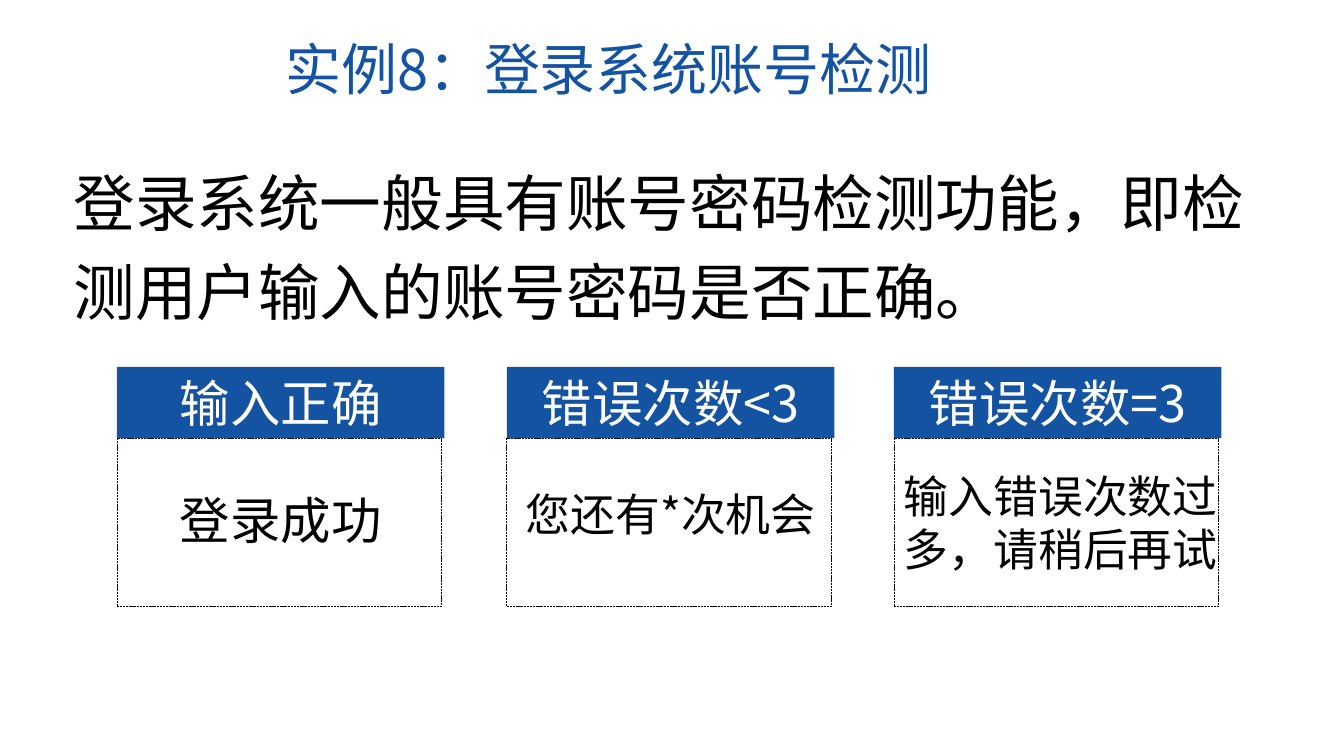
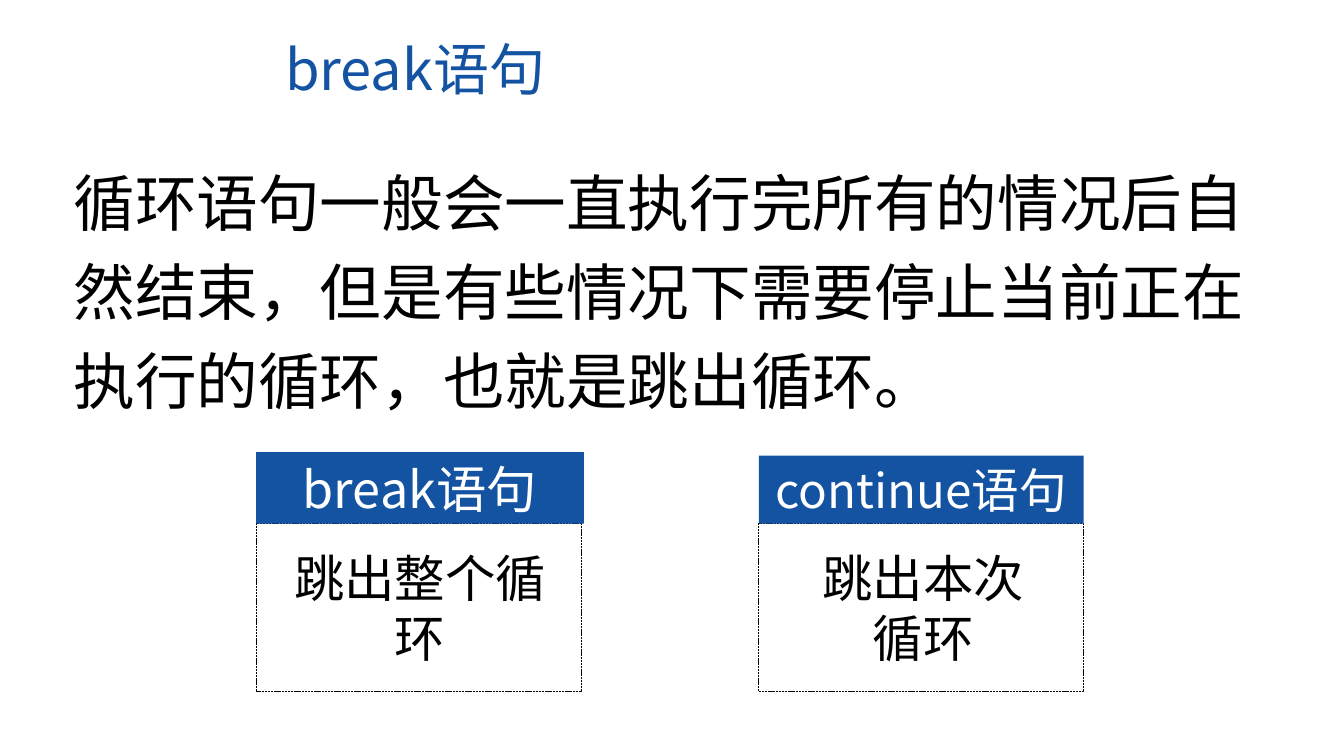
"""Builds two lesson slides about login checks and loop statements."""
from dataclasses import dataclass

from lxml import etree
from pptx import Presentation
from pptx.dml.color import RGBColor
from pptx.enum import dml, shapes, text
from pptx.oxml import ns
from pptx.util import Pt


@dataclass(frozen=True)
class Theme:
    """Holds the colours, type sizes and shared measures in points."""
    font: str = "Noto Sans CJK SC"
    blue: str = "1353A2"
    black: str = "000000"
    white: str = "FFFFFF"
    title_size: float = 40
    lead_size: float = 44
    card_size: float = 36
    small_size: float = 32
    panel_width: float = 232
    panel_height: float = 120
    header_width: float = 234
    header_height: float = 51


THEME = Theme()
CENTER = text.PP_ALIGN.CENTER
LEFT = text.PP_ALIGN.LEFT


@dataclass(frozen=True)
class Card:
    """Describes a headed card; the message box is relative to its panel."""
    left: float
    heading: str
    message: str
    message_box: tuple
    message_size: float = THEME.card_size
    message_align: int = CENTER
    heading_size: float = THEME.card_size
    header_width: float = THEME.header_width
    header_height: float = THEME.header_height


def assign(target, values):
    """Sets each attribute of the target from a dict."""
    for name, value in values.items():
        setattr(target, name, value)


def place(shape, left, top, width, height):
    """Moves and sizes a shape in points."""
    assign(shape, {"left": Pt(left), "top": Pt(top),
                   "width": Pt(width), "height": Pt(height)})


def write(shape, content, size, color, align=LEFT, spacing=None,
          anchor=text.MSO_ANCHOR.TOP):
    """Fills a shape with one formatted paragraph."""
    frame = shape.text_frame
    assign(frame, {"word_wrap": True, "auto_size": text.MSO_AUTO_SIZE.NONE,
                   "vertical_anchor": anchor})
    paragraph = frame.paragraphs[0]
    assign(paragraph, {"alignment": align, "line_spacing": spacing})
    run = paragraph.add_run()
    run.text = content
    assign(run.font, {"name": THEME.font, "size": Pt(size)})
    run.font.color.rgb = RGBColor.from_string(color)
    east_asian = etree.SubElement(run.font._element, ns.qn("a:ea"))
    east_asian.set("typeface", THEME.font)


def add_text(slide, box, content, size, **options):
    """Adds a text box in black type."""
    shape = slide.shapes.add_textbox(*map(Pt, box))
    write(shape, content, size, THEME.black, **options)


def add_rectangle(slide, *box):
    """Adds a rectangle without a shadow."""
    shape = slide.shapes.add_shape(shapes.MSO_SHAPE.RECTANGLE, *map(Pt, box))
    shape.shadow.inherit = False
    return shape


def add_panel(slide, left, top):
    """Adds the dashed outline below a card heading."""
    panel = add_rectangle(slide, left, top, THEME.panel_width, THEME.panel_height)
    panel.fill.background()
    panel.line.color.rgb = RGBColor.from_string(THEME.black)
    assign(panel.line, {"width": Pt(0.5),
                        "dash_style": dml.MSO_LINE.SQUARE_DOT})


def add_header(slide, card, panel_top):
    """Adds the blue heading that rests on a panel."""
    header = add_rectangle(slide, card.left, panel_top - card.header_height,
                           card.header_width, card.header_height)
    header.fill.solid()
    header.fill.fore_color.rgb = RGBColor.from_string(THEME.blue)
    header.line.fill.background()
    write(header, card.heading, card.heading_size, THEME.white, align=CENTER,
          anchor=text.MSO_ANCHOR.MIDDLE)


def add_card(slide, card, panel_top):
    """Adds a panel with its message and heading."""
    add_panel(slide, card.left, panel_top)
    shift, drop, width, height = card.message_box
    add_text(slide, (card.left + shift, panel_top + drop, width, height),
             card.message, card.message_size, align=card.message_align)
    add_header(slide, card, panel_top)


def add_lesson(presentation, title, title_width, lead, lead_height, panel_top, cards):
    """Adds a slide with a title, a lead paragraph and a row of cards."""
    slide = presentation.slides.add_slide(presentation.slide_layouts[5])
    place(slide.shapes.title, 196.5, 21, title_width, 55.5)
    write(slide.shapes.title, title, THEME.title_size, THEME.blue)
    add_text(slide, (45.5, 104, 885, lead_height), lead, THEME.lead_size, spacing=1.2)
    for card in cards:
        add_card(slide, card, panel_top)


def main():
    """Builds and saves the presentation."""
    presentation = Presentation()
    assign(presentation, {"slide_width": Pt(960), "slide_height": Pt(540)})
    add_lesson(
        presentation, "实例8：登录系统账号检测", 528,
        "登录系统一般具有账号密码检测功能，即检测用户输入的账号密码是否正确。",
        130, 313,
        [Card(83.5, "输入正确", "登录成功", (19.5, 32.5, 195, 51)),
         Card(362, "错误次数<3", "您还有*次机会", (0, 31, 234, 46),
              message_size=THEME.small_size),
         Card(638.5, "错误次数=3", "输入错误次数过多，请稍后再试",
              (0, 18, 243, 85), message_size=THEME.small_size,
              message_align=LEFT)])
    add_lesson(
        presentation, "break语句", 423,
        "循环语句一般会一直执行完所有的情况后自然结束，"
        "但是有些情况下需要停止当前正在执行的循环，也就是跳出循环。",
        199, 374,
        [Card(183, "break语句", "跳出整个循环", (19.5, 13, 195, 94)),
         Card(542, "continue语句", "跳出本次循环", (23, 13, 189, 94),
              heading_size=34, header_width=THEME.panel_width,
              header_height=48.5)])
    presentation.save("out.pptx")


if __name__ == "__main__":
    main()
